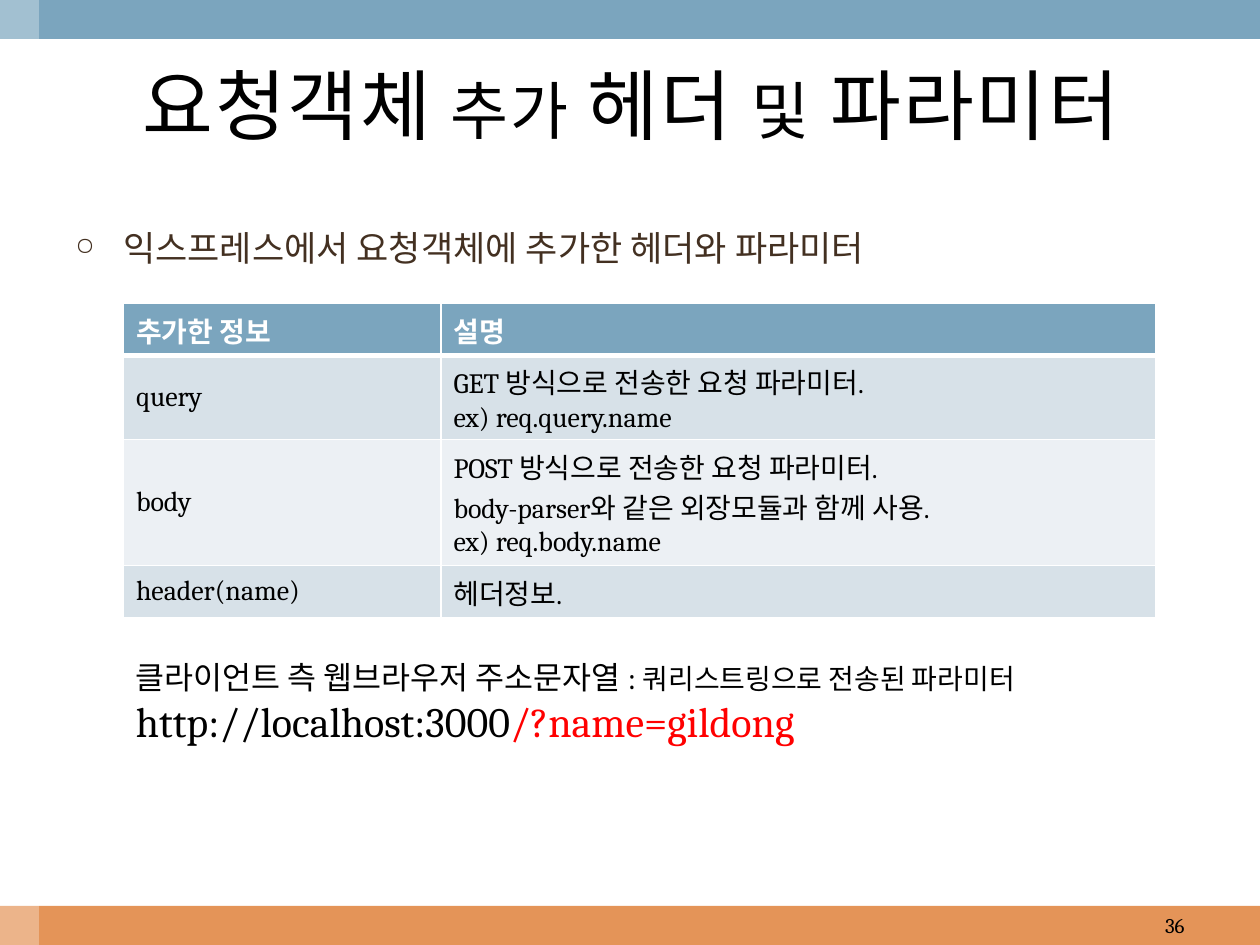
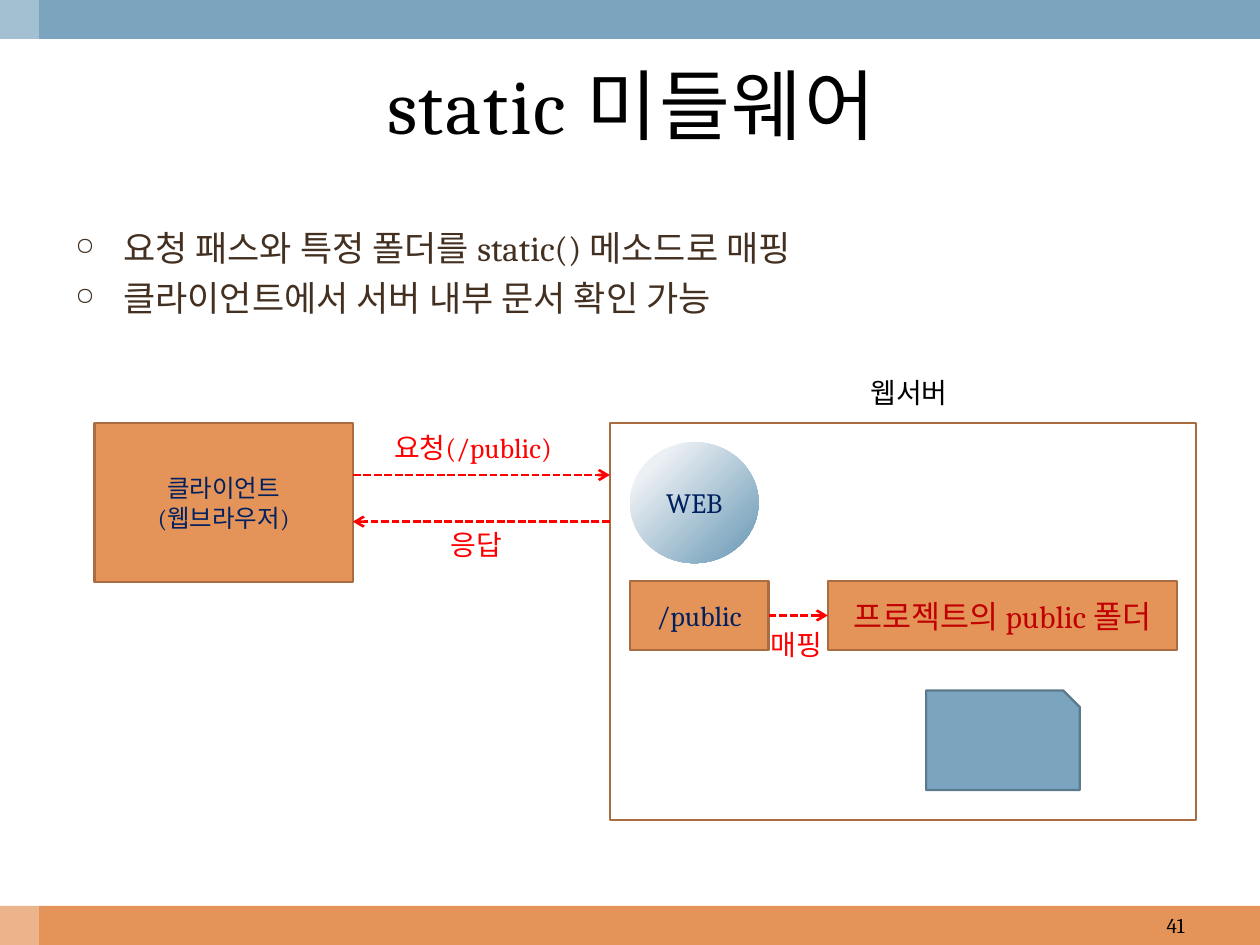
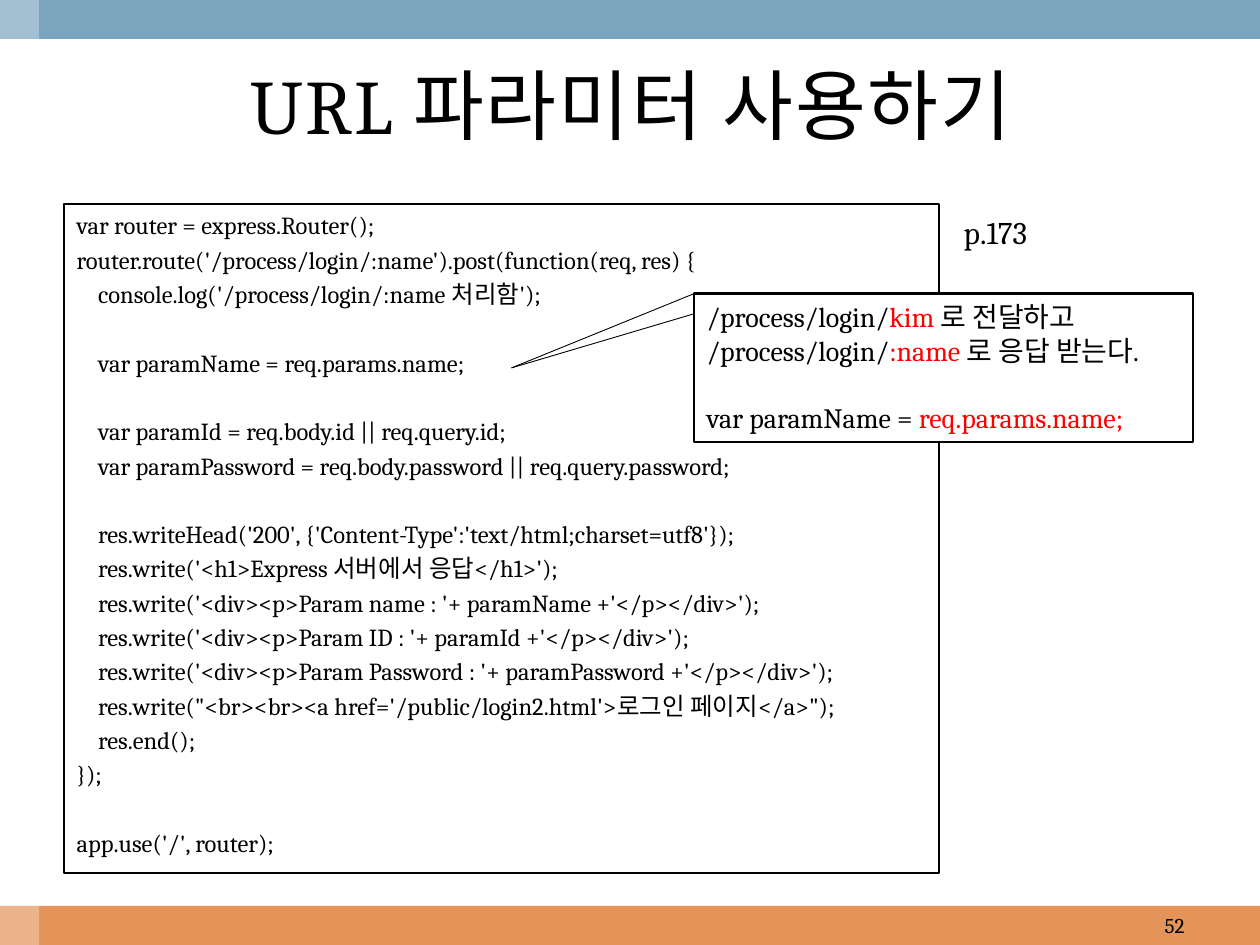
from dataclasses import dataclass
from typing import NamedTuple, Optional

from lxml import etree
from pptx import Presentation
from pptx import util as u
from pptx.dml.color import RGBColor
from pptx.enum import dml, shapes, text
from pptx.oxml.ns import qn


@dataclass(frozen=True)
class Theme:
    font: str = "Cambria"
    blue: str = "7BA5BE"
    blue_edge: str = "5B7A8D"
    blue_mid: str = "D7E1E8"
    blue_pale: str = "ECF0F4"
    orange: str = "E49458"
    orange_edge: str = "A96D41"
    white: str = "FFFFFF"
    black: str = "000000"
    brown: str = "433021"
    navy: str = "002060"
    red: str = "FF0000"
    dark_red: str = "C00000"
    title: int = 44
    url: int = 24
    bullet: int = 20
    large: int = 18
    normal: int = 16
    code: int = 14
    number: int = 12
    edge: float = 1.25


T = Theme()
WIDTH, HEIGHT, BAND = 10, 7.5, 0.31


class Run(NamedTuple):
    words: str
    size: int = T.normal
    color: str = T.black
    bold: bool = False


@dataclass(frozen=True)
class Para:
    runs: list[Run]
    before: float = 0
    margin: float = 0
    bullet: bool = False
    tracking: int = 0


@dataclass(frozen=True)
class Box:
    left: float
    top: float
    width: float
    height: float
    paras: tuple = ()
    fill: Optional[str] = None
    line: Optional[str] = None
    shape: shapes.MSO_SHAPE = shapes.MSO_SHAPE.RECTANGLE
    align: text.PP_ALIGN = text.PP_ALIGN.CENTER
    anchor: text.MSO_ANCHOR = text.MSO_ANCHOR.MIDDLE
    wrap: bool = True

    def place(self) -> list:
        return [u.Inches(v) for v in (self.left, self.top, self.width, self.height)]


class Arrow(NamedTuple):
    start: tuple
    end: tuple


def one(words: str, size: int = T.normal, color: str = T.black) -> Para:
    return Para([Run(words, size, color)])


def rgb(color: str) -> RGBColor:
    return RGBColor.from_string(color)


def write(tf, paras, align=text.PP_ALIGN.LEFT) -> None:
    for i, para in enumerate(paras):
        p = tf.paragraphs[0] if i == 0 else tf.add_paragraph()
        p.alignment = align
        if para.before:
            p.space_before = u.Pt(para.before)
        pPr = p._p.get_or_add_pPr()
        if para.margin:
            pPr.set("marL", str(u.Inches(para.margin)))
        if para.bullet:
            pPr.set("indent", str(-u.Inches(para.margin)))
            etree.SubElement(pPr, qn("a:buSzPct"), val="70000")
            etree.SubElement(pPr, qn("a:buChar"), char="○")
        for run in para.runs:
            r = p.add_run()
            r.text = run.words
            values = {"name": T.font, "size": u.Pt(run.size), "bold": run.bold}
            for key, value in values.items():
                setattr(r.font, key, value)
            r.font.color.rgb = rgb(run.color)
            if para.tracking:
                r._r.get_or_add_rPr().set("spc", str(para.tracking * 100))


def add_box(s, box: Box):
    sp = s.shapes.add_shape(box.shape, *box.place())
    sp.shadow.inherit = False
    if box.fill:
        sp.fill.solid()
        sp.fill.fore_color.rgb = rgb(box.fill)
    else:
        sp.fill.background()
    if box.line:
        sp.line.color.rgb = rgb(box.line)
        sp.line.width = u.Pt(T.edge)
    else:
        sp.line.fill.background()
    sp.text_frame.word_wrap = box.wrap
    sp.text_frame.vertical_anchor = box.anchor
    write(sp.text_frame, box.paras, box.align)
    return sp


def add_text(s, box: Box, align=text.PP_ALIGN.LEFT, anchor=text.MSO_ANCHOR.TOP, grow=False) -> None:
    tf = s.shapes.add_textbox(*box.place()).text_frame
    tf.word_wrap = box.wrap
    tf.vertical_anchor = anchor
    if grow:
        tf.auto_size = text.MSO_AUTO_SIZE.SHAPE_TO_FIT_TEXT
    write(tf, box.paras, align)


def add_line(s, start: tuple, end: tuple, color: str, width: float):
    ends = [u.Inches(v) for v in (*start, *end)]
    c = s.shapes.add_connector(shapes.MSO_CONNECTOR.STRAIGHT, *ends)
    c.line.color.rgb = rgb(color)
    c.line.width = u.Pt(width)
    etree.SubElement(c._element.spPr, qn("a:effectLst"))
    return c


def add_arrow(s, arrow: Arrow):
    c = add_line(s, arrow.start, arrow.end, T.red, 1.5)
    c.line.dash_style = dml.MSO_LINE.SQUARE_DOT
    etree.SubElement(c.line._get_or_add_ln(), qn("a:tailEnd"), type="arrow")
    return c


def add_bullets(s, lines: list[str], height: float) -> None:
    paras = tuple(Para([Run(line, T.bullet, T.brown)], 4.5, 0.38, True) for line in lines)
    add_text(s, Box(0.5, 1.75, 9, height, paras))


def new_slide(prs, number: int, title: list[Run]):
    """Blank slide with bands, title and page number."""
    s = prs.slides.add_slide(prs.slide_layouts[6])
    add_box(s, Box(0, HEIGHT - BAND, WIDTH, BAND, fill=T.orange))
    add_box(s, Box(0, 0, WIDTH, BAND, fill=T.blue))
    strip = add_box(s, Box(0, 0, BAND, HEIGHT, fill=T.white))
    color = strip._element.spPr.find(qn("a:solidFill"))[0]
    etree.SubElement(color, qn("a:alpha"), val="30000")
    middle = text.MSO_ANCHOR.MIDDLE
    add_text(s, Box(0.33, BAND, 9.36, 1.03, (Para(title, tracking=1),)),
             text.PP_ALIGN.CENTER, middle)
    add_text(s, Box(7.17, HEIGHT - BAND, 2.33, BAND, (one(str(number), T.number),)),
             text.PP_ALIGN.RIGHT, middle)
    return s


def style_cell(cell, lines: list[str], fill: str, header: bool, centred: bool) -> None:
    tcPr = cell._tc.get_or_add_tcPr()
    for side in ("lnL", "lnR", "lnT", "lnB"):
        width = 3 if header and side == "lnB" else 1
        ln = etree.SubElement(tcPr, qn(f"a:{side}"), w=str(u.Pt(width)))
        solid = etree.SubElement(ln, qn("a:solidFill"))
        etree.SubElement(solid, qn("a:srgbClr"), val=T.white)
    cell.fill.solid()
    cell.fill.fore_color.rgb = rgb(fill)
    if centred:
        cell.vertical_anchor = text.MSO_ANCHOR.MIDDLE
    color = T.white if header else T.black
    write(cell.text_frame, [Para([Run(line, T.normal, color, header)]) for line in lines])


def add_info_table(s) -> None:
    rows = [
        (0.41, "추가한 정보", ["설명"]),
        (0.67, "query", ["GET 방식으로 전송한 요청 파라미터.", "ex) req.query.name"]),
        (1.0, "body", ["POST 방식으로 전송한 요청 파라미터.",
                       "body-parser와 같은 외장모듈과 함께 사용.", "ex) req.body.name"]),
        (0.41, "header(name)", ["헤더정보."]),
    ]
    total = sum(height for height, _, _ in rows)
    table = s.shapes.add_table(len(rows), 2, *Box(0.98, 2.41, 8.19, total).place()).table
    for column, width in zip(table.columns, (2.52, 5.67)):
        column.width = u.Inches(width)
    for i, (height, name, notes) in enumerate(rows):
        table.rows[i].height = u.Inches(height)
        fill = T.blue if i == 0 else (T.blue_pale, T.blue_mid)[i % 2]
        style_cell(table.cell(i, 0), [name], fill, i == 0, i > 0)
        style_cell(table.cell(i, 1), notes, fill, i == 0, False)


def headers_slide(prs) -> None:
    s = new_slide(prs, 36, [
        Run("요청객체", T.title), Run(" ", 40), Run("추가", 36), Run(" ", 40),
        Run("헤더 ", T.title), Run("및", 36), Run(" 파라미터", T.title)])
    add_bullets(s, ["익스프레스에서 요청객체에 추가한 헤더와 파라미터"], 0.82)
    add_info_table(s)
    address = (
        Para([Run("클라이언트 측 웹브라우저 주소문자열 : ", T.large),
              Run("쿼리스트링으로 전송된 파라미터")]),
        Para([Run("http://localhost:3000", T.url), Run("/?name=gildong", T.url, T.red)]),
    )
    add_text(s, Box(0.98, 5.17, 8.11, 0.81, address), grow=True)


def static_slide(prs) -> None:
    s = new_slide(prs, 41, [Run("static 미들웨어", T.title)])
    add_bullets(s, ["요청 패스와 특정 폴더를 static() 메소드로 매핑",
                    "클라이언트에서 서버 내부 문서 확인 가능"], 0.74)

    # Client, server and mapped folder
    client = Box(0.75, 3.36, 2.05, 1.26,
                 (one("클라이언트", T.code, T.navy), one("(웹브라우저)", T.code, T.navy)),
                 T.orange, T.orange_edge)
    server = Box(4.84, 3.36, 4.65, 3.15, line=T.orange_edge)
    route = Box(5, 4.61, 1.1, 0.55, (one("/public", color=T.navy),), T.orange, T.orange_edge)
    folder = Box(6.57, 4.61, 2.77, 0.55, (one("프로젝트의 public 폴더", T.large, T.dark_red),),
                 T.orange, T.orange_edge)
    document = Box(7.35, 5.48, 1.22, 0.79, fill=T.blue, line=T.blue_edge,
                   shape=shapes.MSO_SHAPE.SNIP_1_RECTANGLE)
    _, _, route_sp, folder_sp, _ = [
        add_box(s, box) for box in (client, server, route, folder, document)]

    # Web globe
    globe = add_box(s, Box(5, 3.51, 1.02, 0.96, (one("WEB", color=T.navy),),
                           shape=shapes.MSO_SHAPE.OVAL))
    globe.fill.gradient()
    globe.fill.gradient_angle = 315
    stops = ((0.18, T.blue_pale), (0.87, T.blue))
    for stop, (position, color) in zip(globe.fill.gradient_stops, stops):
        stop.position = position
        stop.color.rgb = rgb(color)

    # Request, response and mapping arrows
    client_right, server_left = client.left + client.width, server.left
    add_arrow(s, Arrow((client_right, 3.77), (server_left, 3.77)))
    add_arrow(s, Arrow((server_left, 4.14), (client_right, 4.14)))
    mapping = add_arrow(s, Arrow((6.1, 4.88), (6.57, 4.88)))
    mapping.begin_connect(route_sp, 3)
    mapping.end_connect(folder_sp, 1)

    # Labels
    labels = [
        (6.81, 2.93, 0.88, "웹서버", T.black),
        (3.03, 3.37, 1.54, "요청(/public)", T.red),
        (3.48, 4.14, 0.65, "응답", T.red),
        (6.02, 4.93, 0.65, "매핑", T.red),
    ]
    for left, top, width, words, color in labels:
        add_text(s, Box(left, top, width, 0.37, (one(words, color=color),), wrap=False), grow=True)


CODE = """var router = express.Router();
router.route('/process/login/:name').post(function(req, res) {
    console.log('/process/login/:name 처리함');

    var paramName = req.params.name;

    var paramId = req.body.id || req.query.id;
    var paramPassword = req.body.password || req.query.password;

    res.writeHead('200', {'Content-Type':'text/html;charset=utf8'});
    res.write('<h1>Express 서버에서 응답</h1>');
    res.write('<div><p>Param name : '+ paramName +'</p></div>');
    res.write('<div><p>Param ID : '+ paramId +'</p></div>');
    res.write('<div><p>Param Password : '+ paramPassword +'</p></div>');
    res.write("<br><br><a href='/public/login2.html'>로그인 페이지</a>");
    res.end();
});

app.use('/', router);"""


def code_paras(code: str) -> tuple:
    """Turn blank lines into spacing and leading spaces into a margin."""
    paras, spacing, pitch = [], 2.8, 19.6
    before = spacing
    for line in code.splitlines():
        if not line:
            before += pitch
            continue
        words = line.lstrip()
        margin = 0.17 if words != line else 0
        paras.append(Para([Run(words, T.code)], before, margin))
        before = spacing
    return tuple(paras)


def url_slide(prs) -> None:
    s = new_slide(prs, 52, [Run("URL 파라미터 사용하기", T.title)])
    framed = {"fill": T.white, "line": T.black,
              "align": text.PP_ALIGN.LEFT, "anchor": text.MSO_ANCHOR.TOP}
    add_box(s, Box(0.51, 1.62, 6.94, 5.31, code_paras(CODE), **framed))

    # Callout with its pointer
    note = (
        Para([Run("/process/login/"), Run("kim ", color=T.red), Run("로 전달하고")]),
        Para([Run("/process/login/"), Run(":name ", color=T.red), Run("로 응답 받는다.")]),
        Para([Run("var paramName = "), Run("req.params.name;", color=T.red)], before=19),
    )
    callout = Box(5.51, 2.33, 3.96, 1.18, note, wrap=False, **framed)
    add_box(s, callout)
    for top in (callout.top, 2.49):
        add_line(s, (callout.left, top), (4.06, 2.92), T.black, 0.5)
    add_text(s, Box(7.55, 1.64, 0.79, 0.4, (one("p.173", T.large),), wrap=False), grow=True)


def main() -> None:
    prs = Presentation()
    prs.slide_width, prs.slide_height = u.Inches(WIDTH), u.Inches(HEIGHT)
    for build in (headers_slide, static_slide, url_slide):
        build(prs)
    prs.save("out.pptx")


if __name__ == "__main__":
    main()
